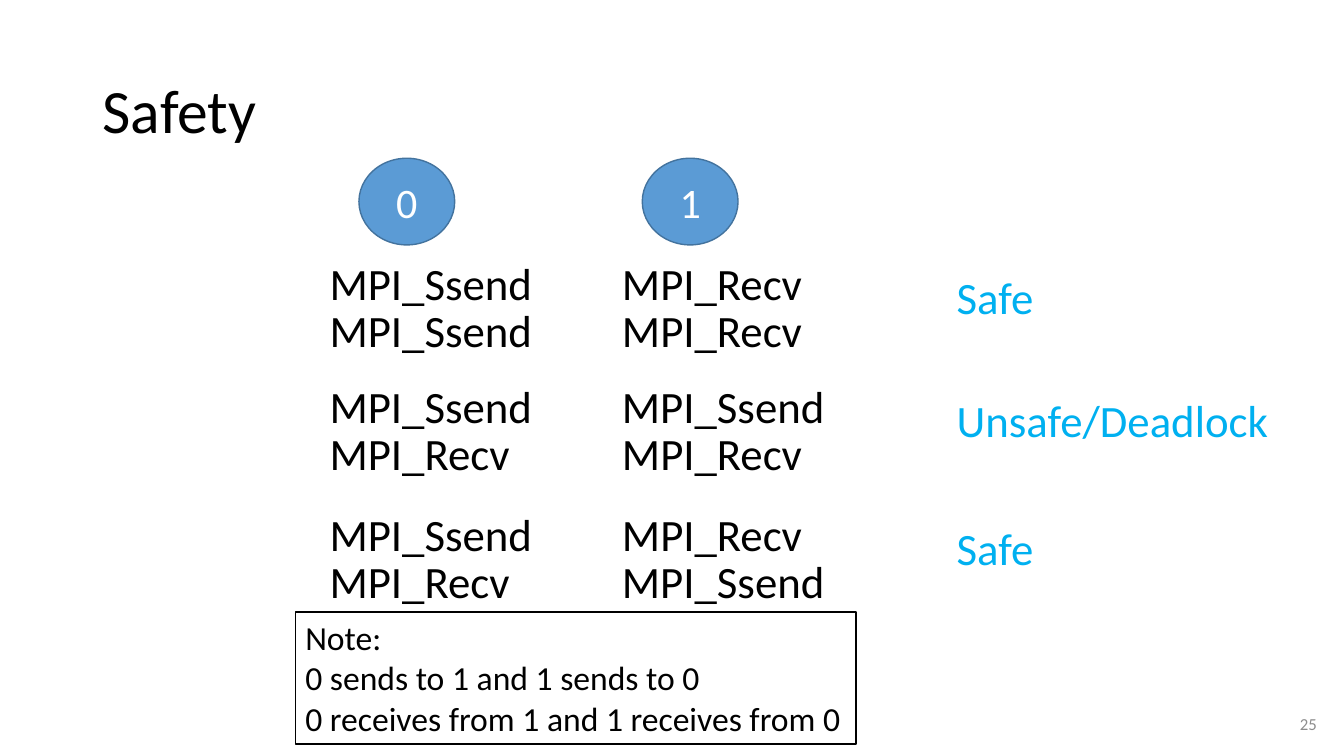
from dataclasses import dataclass

from pptx import Presentation
from pptx.dml.color import RGBColor
from pptx.enum.shapes import MSO_SHAPE
from pptx.enum.text import MSO_ANCHOR, MSO_AUTO_SIZE, PP_ALIGN
from pptx.util import Emu, Pt

OVAL, RECTANGLE = MSO_SHAPE.OVAL, MSO_SHAPE.RECTANGLE
TOP, MIDDLE = MSO_ANCHOR.TOP, MSO_ANCHOR.MIDDLE
LEFT, CENTER, RIGHT = PP_ALIGN.LEFT, PP_ALIGN.CENTER, PP_ALIGN.RIGHT
GROW = MSO_AUTO_SIZE.SHAPE_TO_FIT_TEXT
EMU_PER_PX = 9144  # 100 px to the inch


@dataclass(frozen=True)
class Theme:
    font: str = "Calibri"
    ink: str = "000000"
    paper: str = "FFFFFF"
    rank_fill: str = "5B9BD5"
    rank_line: str = "43739E"
    verdict: str = "00B0F0"
    muted: str = "8C8C8C"
    title_size: int = 44
    call_size: int = 32
    rank_size: int = 30
    note_size: int = 24
    number_size: int = 12


THEME = Theme()

RANK_LEFTS = {"0": 356, "1": 637}
CALL_LEFTS = (317, 607)
VERDICT_LEFT = 939
LINE_STEP = 46
VERDICT_DROP = 14
LABEL_HEIGHT = 64
LABEL_WIDTHS = {"MPI_Ssend": 223, "MPI_Recv": 201, "Safe": 97, "Unsafe/Deadlock": 332}

# Top of the case, calls of rank 0, calls of rank 1, verdict
CASES = (
    (249, ("MPI_Ssend", "MPI_Ssend"), ("MPI_Recv", "MPI_Recv"), "Safe"),
    (371, ("MPI_Ssend", "MPI_Recv"), ("MPI_Ssend", "MPI_Recv"), "Unsafe/Deadlock"),
    (498, ("MPI_Ssend", "MPI_Recv"), ("MPI_Recv", "MPI_Ssend"), "Safe"),
)

NOTE_LINES = (
    "Note:",
    "0 sends to 1 and 1 sends to 0",
    "0 receives from 1 and 1 receives from 0",
)


def px(length):
    return Emu(length * EMU_PER_PX)


def write_lines(frame, lines, size, color, align=LEFT, anchor=TOP, spacing=None):
    frame.vertical_anchor = anchor
    for index, line in enumerate(lines):
        paragraph = frame.paragraphs[0] if index == 0 else frame.add_paragraph()
        paragraph.alignment = align
        paragraph.line_spacing = spacing
        run = paragraph.add_run()
        run.text = line
        run.font.name = THEME.font
        run.font.size = Pt(size)
        run.font.color.rgb = RGBColor.from_string(color)


def add_text(slide, box, text, size, color, wrap=True, **layout):
    frame = slide.shapes.add_textbox(*map(px, box)).text_frame
    frame.word_wrap = wrap
    if not wrap:
        frame.auto_size = GROW
    write_lines(frame, [text], size, color, **layout)


def add_panel(slide, preset, box, fill, line):
    panel = slide.shapes.add_shape(preset, *map(px, box))
    panel.shadow.inherit = False
    panel.fill.solid()
    panel.fill.fore_color.rgb = RGBColor.from_string(fill)
    panel.line.color.rgb = RGBColor.from_string(line)
    panel.line.width = Pt(1)
    panel.text_frame.word_wrap = True
    return panel


def add_rank(slide, left, rank):
    circle = add_panel(slide, OVAL, (left, 157, 95, 86), THEME.rank_fill, THEME.rank_line)
    write_lines(circle.text_frame, [rank], THEME.rank_size, THEME.paper, CENTER, MIDDLE)


def add_label(slide, left, top, text, color):
    box = (left, top, LABEL_WIDTHS[text], LABEL_HEIGHT)
    add_text(slide, box, text, THEME.call_size, color, wrap=False)


def add_case(slide, top, rank0_calls, rank1_calls, verdict):
    """Lay out the calls of both ranks in two columns, with the verdict beside them."""
    for left, calls in zip(CALL_LEFTS, (rank0_calls, rank1_calls)):
        for row, call in enumerate(calls):
            add_label(slide, left, top + row * LINE_STEP, call, THEME.ink)
    add_label(slide, VERDICT_LEFT, top + VERDICT_DROP, verdict, THEME.verdict)


def add_note(slide):
    note = add_panel(slide, RECTANGLE, (293, 607, 556, 131), THEME.paper, THEME.ink)
    note.text_frame.auto_size = GROW
    write_lines(note.text_frame, NOTE_LINES, THEME.note_size, THEME.ink)


def main():
    deck = Presentation()
    deck.slide_width, deck.slide_height = px(1333), px(750)
    slide = deck.slides.add_slide(deck.slide_layouts[6])

    add_text(slide, (92, 40, 1150, 145), "Safety", THEME.title_size, THEME.ink,
             anchor=MIDDLE, spacing=0.9)
    for rank, left in RANK_LEFTS.items():
        add_rank(slide, left, rank)
    for case in CASES:
        add_case(slide, *case)
    add_text(slide, (1016, 698, 300, 40), "25", THEME.number_size, THEME.muted,
             align=RIGHT, anchor=MIDDLE)
    add_note(slide)

    deck.save("out.pptx")


if __name__ == "__main__":
    main()
